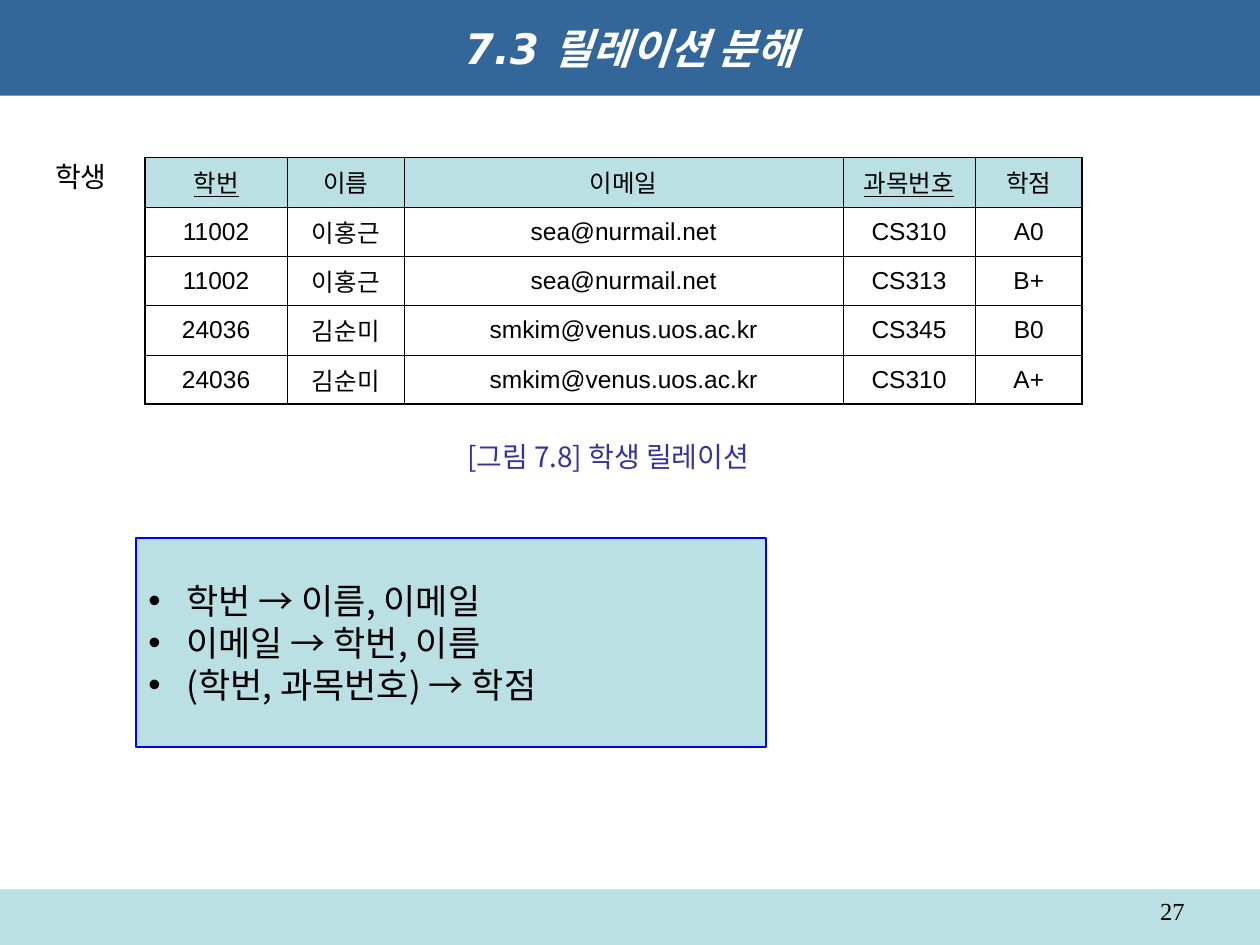
from dataclasses import dataclass

from lxml import etree
from pptx import Presentation
from pptx import util as u
from pptx.dml.color import RGBColor
from pptx.enum import shapes, text
from pptx.oxml.ns import qn


@dataclass(frozen=True)
class Theme:
    blue: str = "336699"
    pale: str = "BBE0E3"
    outline: str = "0000FF"
    caption: str = "333399"
    black: str = "000000"
    white: str = "FFFFFF"
    title_size: float = 24
    list_size: float = 20
    label_size: float = 16
    small_size: float = 14
    korean: str = "Noto Sans CJK KR"
    label_font: str = "Noto Sans CJK JP"
    title_font: str = "DejaVu Sans"
    table_font: str = "Arial"
    number_font: str = "Times New Roman"
    thin: float = 0.45
    thick: float = 1.08


@dataclass(frozen=True)
class Area:
    left: float
    top: float
    width: float
    height: float

    def lengths(self) -> tuple:
        return tuple(u.Inches(n) for n in (self.left, self.top, self.width, self.height))


@dataclass(frozen=True)
class Style:
    size: float
    latin: str
    color: str = "000000"
    asian: str = "Noto Sans CJK KR"


@dataclass(frozen=True)
class Label:
    words: str
    area: Area
    style: Style
    align: text.PP_ALIGN = text.PP_ALIGN.LEFT
    anchor: text.MSO_ANCHOR = text.MSO_ANCHOR.TOP
    wrap: bool = False


THEME = Theme()
LABELS = [
    Label("27", Area(7.17, 7.06, 2.33, 0.29),
          Style(THEME.small_size, THEME.number_font), text.PP_ALIGN.RIGHT, wrap=True),
    Label("학생", Area(0.34, 1.22, 0.63, 0.37),
          Style(THEME.label_size, THEME.label_font, asian=THEME.label_font)),
    Label("[그림 7.8] 학생 릴레이션", Area(3.61, 3.44, 2.73, 0.37),
          Style(THEME.label_size, THEME.korean, THEME.caption),
          anchor=text.MSO_ANCHOR.MIDDLE),
]
COLUMN_WIDTHS = [1.13, 0.93, 3.48, 1.05, 0.85]
KEY_COLUMNS = {"학번", "과목번호"}
STUDENTS = [
    ["학번", "이름", "이메일", "과목번호", "학점"],
    ["11002", "이홍근", "sea@nurmail.net", "CS310", "A0"],
    ["11002", "이홍근", "sea@nurmail.net", "CS313", "B+"],
    ["24036", "김순미", "smkim@venus.uos.ac.kr", "CS345", "B0"],
    ["24036", "김순미", "smkim@venus.uos.ac.kr", "CS310", "A+"],
]
DEPENDENCIES = ["학번 → 이름, 이메일", "이메일 → 학번, 이름", "(학번, 과목번호) → 학점"]


def style_paragraph(para, style: Style, align=text.PP_ALIGN.LEFT) -> None:
    """Set the paragraph font, including the typeface for Korean letters."""
    para.alignment = align
    font = para.font
    font.size = u.Pt(style.size)
    font.color.rgb = RGBColor.from_string(style.color)
    font.name = style.latin
    defaults = para._p.pPr.find(qn("a:defRPr"))
    etree.SubElement(defaults, qn("a:ea"), typeface=style.asian)


def add_bullet(para, indent: float) -> None:
    properties = para._p.get_or_add_pPr()
    properties.set("marL", str(u.Inches(indent)))
    properties.set("indent", str(-u.Inches(indent)))
    etree.SubElement(properties, qn("a:buFont"), typeface="Arial")
    etree.SubElement(properties, qn("a:buChar"), char="•")


def add_panel(page, area: Area, outline: str = ""):
    panel = page.shapes.add_shape(shapes.MSO_SHAPE.RECTANGLE, *area.lengths())
    panel.shadow.inherit = False
    panel.fill.solid()
    panel.fill.fore_color.rgb = RGBColor.from_string(THEME.pale)
    if outline:
        panel.line.color.rgb = RGBColor.from_string(outline)
        panel.line.width = u.Pt(1.5)
    else:
        panel.line.fill.background()
    return panel


def add_label(page, label: Label) -> None:
    frame = page.shapes.add_textbox(*label.area.lengths()).text_frame
    frame.word_wrap = label.wrap
    frame.vertical_anchor = label.anchor
    frame.text = label.words
    style_paragraph(frame.paragraphs[0], label.style, label.align)


def format_title(page) -> None:
    title = page.shapes.title
    title.left, title.top, title.width, title.height = Area(0, 0, 10, 0.76).lengths()
    title.fill.solid()
    title.fill.fore_color.rgb = RGBColor.from_string(THEME.blue)
    frame = title.text_frame
    frame.text = "7.3 릴레이션 분해"
    frame.vertical_anchor = text.MSO_ANCHOR.MIDDLE
    para = frame.paragraphs[0]
    style_paragraph(para, Style(THEME.title_size, THEME.title_font, THEME.white),
                    text.PP_ALIGN.CENTER)
    para.font.bold = para.font.italic = True


def add_borders(cell, outer_sides: dict[str, bool]) -> None:
    """Draw thick lines on outer sides and thin ones elsewhere."""
    properties = cell._tc.get_or_add_tcPr()
    for side, outer in outer_sides.items():
        width = u.Pt(THEME.thick if outer else THEME.thin)
        line = etree.SubElement(properties, qn(f"a:ln{side}"), w=str(width))
        fill = etree.SubElement(line, qn("a:solidFill"))
        etree.SubElement(fill, qn("a:srgbClr"), val=THEME.black)


def add_student_table(page) -> None:
    area = Area(1.15, 1.25, sum(COLUMN_WIDTHS), 1.96)
    last_row, last_column = len(STUDENTS) - 1, len(COLUMN_WIDTHS) - 1
    table = page.shapes.add_table(len(STUDENTS), len(COLUMN_WIDTHS), *area.lengths()).table
    for column, width in zip(table.columns, COLUMN_WIDTHS):
        column.width = u.Inches(width)
    for i, record in enumerate(STUDENTS):
        for j, value in enumerate(record):
            cell = table.cell(i, j)
            add_borders(cell, {"L": j == 0, "R": j == last_column,
                               "T": i == 0, "B": i == last_row})
            if i == 0:
                cell.fill.solid()
                cell.fill.fore_color.rgb = RGBColor.from_string(THEME.pale)
            else:
                cell.fill.background()
            cell.vertical_anchor = text.MSO_ANCHOR.MIDDLE
            cell.text = value
            para = cell.text_frame.paragraphs[0]
            style_paragraph(para, Style(THEME.small_size, THEME.table_font),
                            text.PP_ALIGN.CENTER)
            para.font.bold = False
            para.font.underline = value in KEY_COLUMNS


def add_dependencies(page) -> None:
    frame = add_panel(page, Area(1.08, 4.27, 5, 1.66), THEME.outline).text_frame
    frame.word_wrap = True
    frame.vertical_anchor = text.MSO_ANCHOR.MIDDLE
    frame.text = "\n".join(DEPENDENCIES)
    for para in frame.paragraphs:
        add_bullet(para, 0.3)
        style_paragraph(para, Style(THEME.list_size, THEME.korean))


def main() -> None:
    deck = Presentation()
    deck.slide_width, deck.slide_height = u.Inches(10), u.Inches(7.5)
    page = deck.slides.add_slide(deck.slide_layouts[5])
    format_title(page)
    add_panel(page, Area(0, 7.06, 10, 0.44))
    add_dependencies(page)
    add_student_table(page)
    for label in LABELS:
        add_label(page, label)
    deck.save("out.pptx")


if __name__ == "__main__":
    main()
